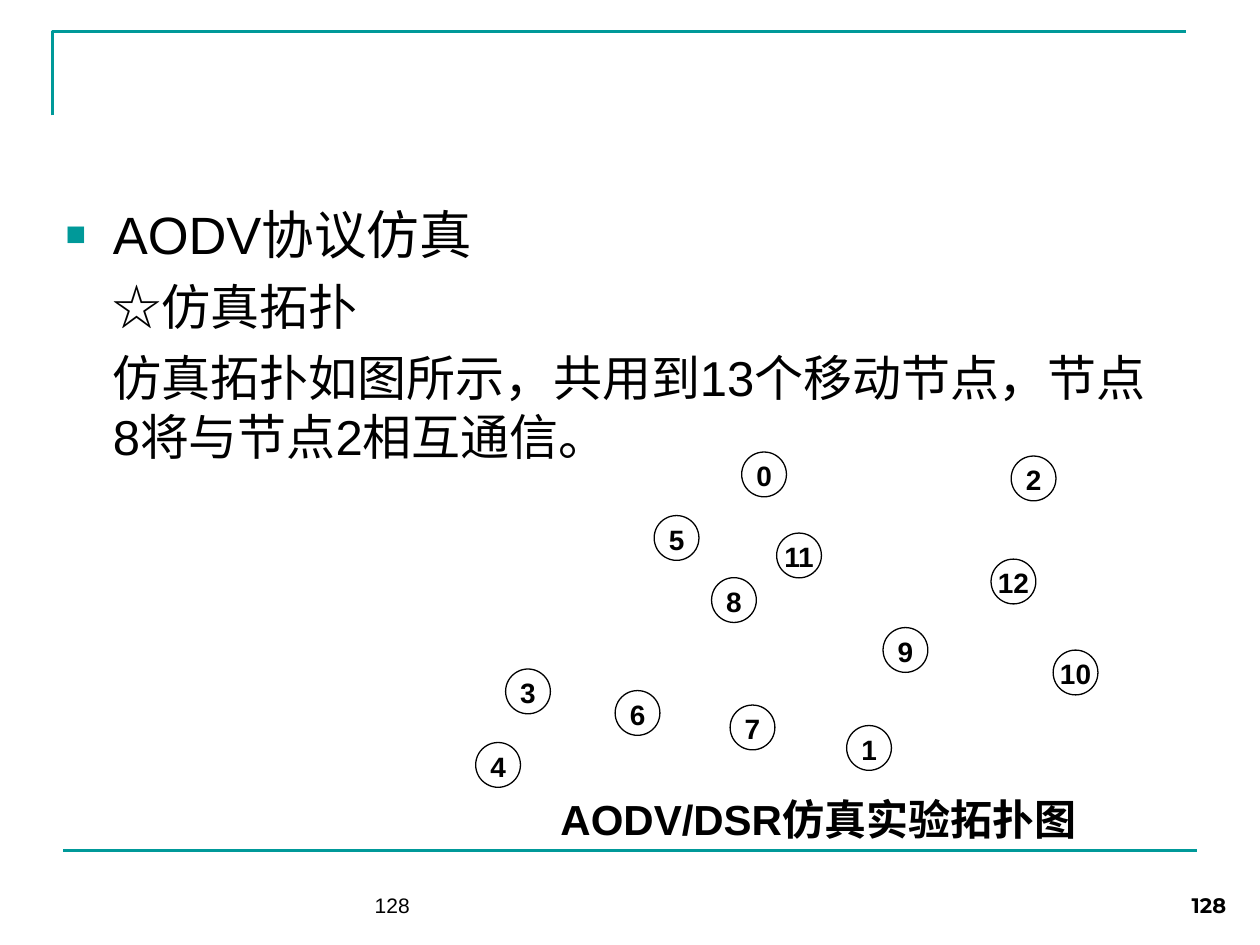
from dataclasses import dataclass

import pptx
import pptx.dml.color
import pptx.enum.shapes
import pptx.enum.text
import pptx.oxml
import pptx.oxml.ns
import pptx.util

Pt = pptx.util.Pt
RGB = pptx.dml.color.RGBColor
Align = pptx.enum.text.PP_ALIGN
Anchor = pptx.enum.text.MSO_ANCHOR


@dataclass(frozen=True)
class Theme:
    accent: RGB = RGB(0x00, 0x99, 0x99)
    ink: RGB = RGB(0x00, 0x00, 0x00)
    paper: RGB = RGB(0xFF, 0xFF, 0xFF)
    font: str = "Arial"
    number_font: str = "Montserrat"
    heading_size: float = 30
    body_size: float = 28
    caption_size: float = 24
    node_size: float = 16
    footer_size: float = 12
    rule_width: float = 1.5
    node_line: float = 0.75
    node_diameter: float = 25.6


@dataclass(frozen=True)
class Box:
    left: float
    top: float
    width: float
    height: float

    def lengths(self) -> list:
        return [Pt(n) for n in (self.left, self.top, self.width, self.height)]


@dataclass(frozen=True)
class Node:
    """A mobile node of the topology, placed by its centre."""
    number: int
    x: float
    y: float


@dataclass(frozen=True)
class Label:
    text: str
    box: Box
    size: float
    font: str
    bold: bool
    align: Align
    anchor: Anchor


THEME = Theme()
BODY_BOX = Box(30.24, 111.6, 642.24, 362.16)
HANGING = 27
BODY_LINES = [
    ("AODV协议仿真", THEME.heading_size, 0),
    ("☆仿真拓扑", THEME.body_size, 7),
    ("仿真拓扑如图所示，共用到13个移动节点，节点8将与节点2相互通信。", THEME.body_size, 7),
]
NODES = [
    Node(0, 436.6, 271.1), Node(1, 496.6, 427.4), Node(2, 590.6, 273.4),
    Node(3, 301.7, 395.1), Node(4, 284.6, 437.1), Node(5, 386.6, 307.4),
    Node(6, 364.3, 407.4), Node(7, 430, 415.7), Node(8, 419.4, 342.9),
    Node(9, 517.4, 371.4), Node(10, 614.6, 384.3), Node(11, 456.6, 317.4),
    Node(12, 579.1, 332.3),
]
LABELS = [
    Label("128", Box(91.44, 491.76, 149.76, 36), THEME.footer_size,
          THEME.font, False, Align.RIGHT, Anchor.BOTTOM),
    Label("128", Box(540, 491.76, 167.76, 36), THEME.footer_size,
          THEME.number_font, True, Align.RIGHT, Anchor.BOTTOM),
    Label("AODV/DSR仿真实验拓扑图", Box(313.2, 450, 319, 36), THEME.caption_size,
          THEME.font, True, Align.LEFT, Anchor.MIDDLE),
]


def format_runs(paragraph, size: float, font: str = THEME.font, bold: bool = False) -> None:
    for run in paragraph.runs:
        run.font.size = Pt(size)
        run.font.name = font
        run.font.bold = bold
        run.font.color.rgb = THEME.ink


def set_bullet(paragraph, shown: bool) -> None:
    """Set the hanging indent, with a square bullet or with none."""
    properties = paragraph._p.get_or_add_pPr()
    properties.set("marL", str(Pt(HANGING)))
    properties.set("indent", str(Pt(-HANGING if shown else 0)))
    namespace = pptx.oxml.ns.nsdecls("a")
    if shown:
        elements = [
            f'<a:buClr {namespace}><a:srgbClr val="{THEME.accent}"/></a:buClr>',
            f'<a:buSzPct {namespace} val="65000"/>',
            f'<a:buFont {namespace} typeface="{THEME.font}"/>',
            f'<a:buChar {namespace} char="■"/>',
        ]
    else:
        elements = [f"<a:buNone {namespace}/>"]
    for element in elements:
        properties.append(pptx.oxml.parse_xml(element))


def draw_frame(slide) -> None:
    """Draw the corner outline above the content and the rule below it."""
    builder = slide.shapes.build_freeform(Pt(30), Pt(66), scale=1.0)
    builder.add_line_segments([(Pt(30), Pt(18)), (Pt(678), Pt(18))], close=False)
    corner = builder.convert_to_shape()
    corner.shadow.inherit = False
    corner.fill.background()
    rule = slide.shapes.add_connector(
        pptx.enum.shapes.MSO_CONNECTOR.STRAIGHT, Pt(36), Pt(486), Pt(684), Pt(486))
    rule._element.spPr.append(
        pptx.oxml.parse_xml(f'<a:effectLst {pptx.oxml.ns.nsdecls("a")}/>'))
    for outline in (corner, rule):
        outline.line.color.rgb = THEME.accent
        outline.line.width = Pt(THEME.rule_width)


def fill_body(body) -> None:
    body.left, body.top, body.width, body.height = BODY_BOX.lengths()
    frame = body.text_frame
    frame.auto_size = pptx.enum.text.MSO_AUTO_SIZE.NONE
    frame.text = "\n".join(text for text, _, _ in BODY_LINES)
    for index, (paragraph, (_, size, space)) in enumerate(zip(frame.paragraphs, BODY_LINES)):
        paragraph.space_before = Pt(space)
        set_bullet(paragraph, shown=index == 0)
        format_runs(paragraph, size)


def draw_label(slide, label: Label) -> None:
    frame = slide.shapes.add_textbox(*label.box.lengths()).text_frame
    frame.word_wrap = True
    frame.vertical_anchor = label.anchor
    frame.text = label.text
    paragraph = frame.paragraphs[0]
    paragraph.alignment = label.align
    format_runs(paragraph, label.size, label.font, label.bold)


def draw_node(slide, node: Node) -> None:
    diameter = THEME.node_diameter
    box = Box(node.x - diameter / 2, node.y - diameter / 2, diameter, diameter)
    circle = slide.shapes.add_shape(pptx.enum.shapes.MSO_SHAPE.OVAL, *box.lengths())
    circle.shadow.inherit = False
    circle.fill.solid()
    circle.fill.fore_color.rgb = THEME.paper
    circle.line.color.rgb = THEME.ink
    circle.line.width = Pt(THEME.node_line)
    frame = circle.text_frame
    frame.margin_left = frame.margin_right = frame.margin_top = frame.margin_bottom = 0
    frame.word_wrap = False
    frame.vertical_anchor = Anchor.TOP
    frame.text = str(node.number)
    frame.paragraphs[0].alignment = Align.CENTER
    format_runs(frame.paragraphs[0], THEME.node_size, bold=True)


def main() -> None:
    deck = pptx.Presentation()
    deck.slide_width, deck.slide_height = Pt(720), Pt(540)
    slide = deck.slides.add_slide(deck.slide_layouts[1])
    empty_title = slide.shapes.title._element
    empty_title.getparent().remove(empty_title)
    draw_frame(slide)
    fill_body(slide.placeholders[1])
    for node in NODES:
        draw_node(slide, node)
    for label in LABELS:
        draw_label(slide, label)
    deck.save("out.pptx")


if __name__ == "__main__":
    main()
